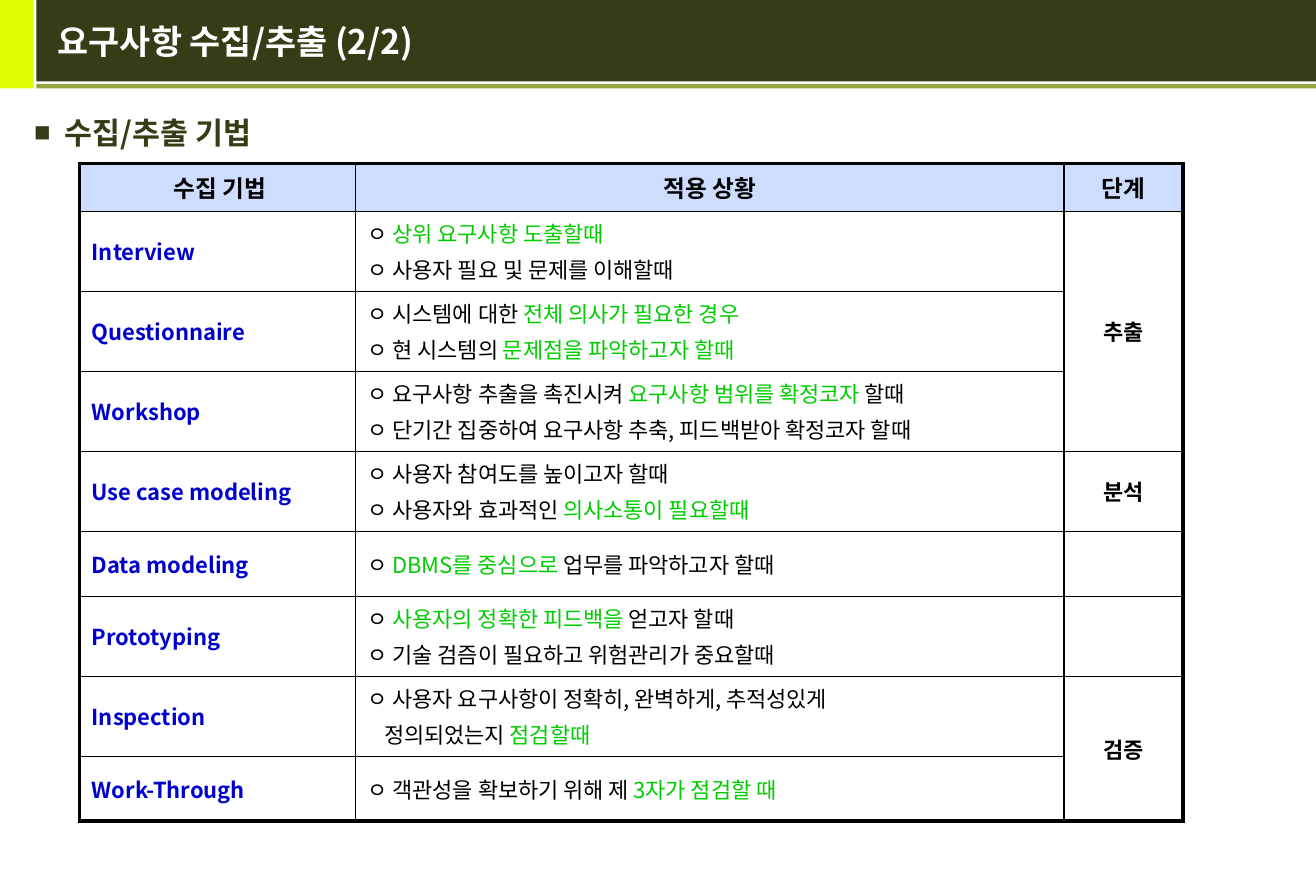
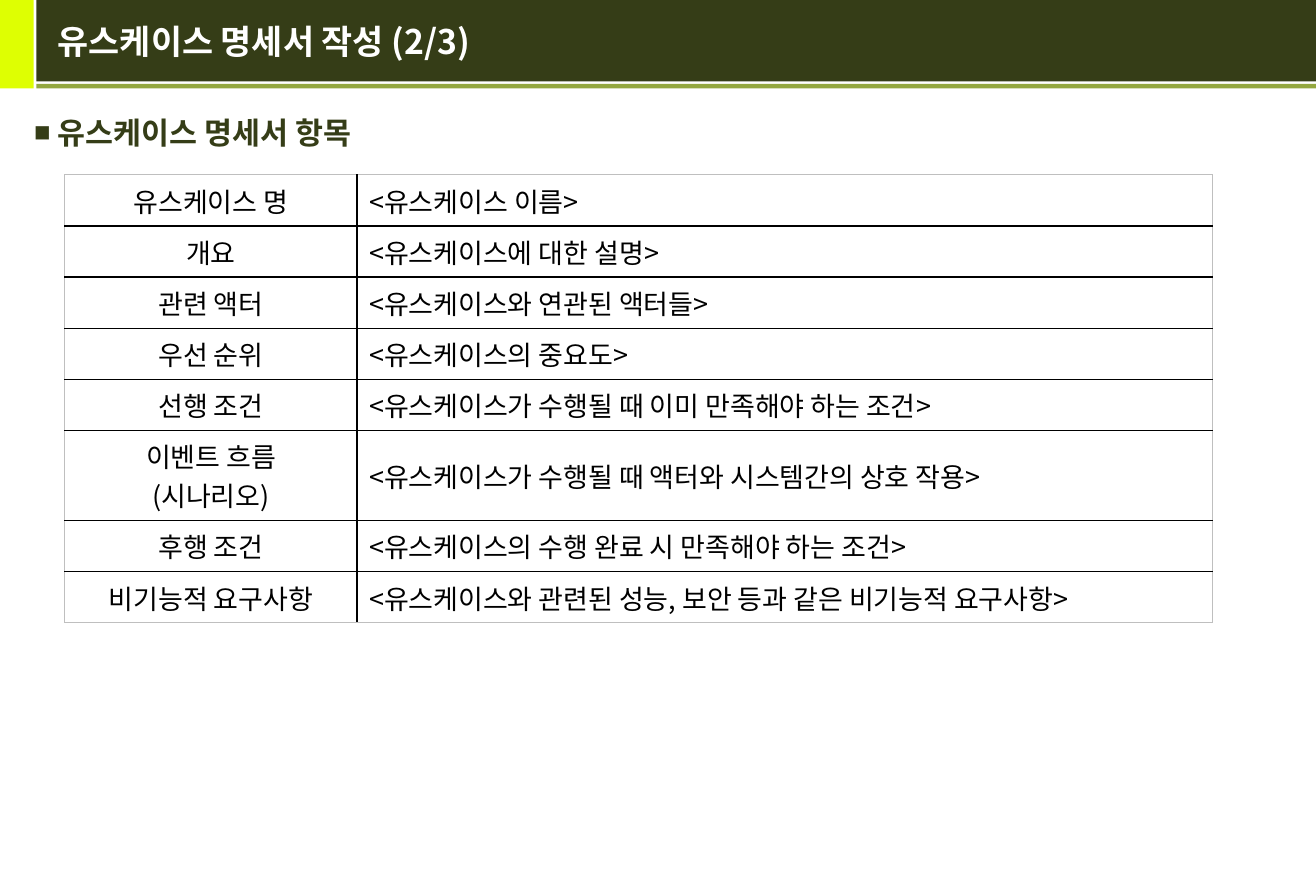
from lxml import etree
from pptx import Presentation
from pptx.dml.color import RGBColor
from pptx.enum import shapes, text
from pptx.oxml import ns
from pptx.util import Pt

FONT = "Noto Sans CJK KR"
HUES = {
    "lime": "DEFF02", "dark": "353D17", "olive": "93A73F", "white": "FFFFFF",
    "black": "000000", "blue": "0000CC", "green": "00CC00", "head": "CEDCFE",
    "gray": "BFBFBF",
}
LEFT, MID = text.PP_ALIGN.LEFT, text.PP_ALIGN.CENTER


def write(frame, words, size=16, hue="black", bold=False, align=LEFT):
    """Fill a text frame; | switches green on and off, a leading > indents a line."""
    for n, line in enumerate(words.split("\n")):
        para = frame.paragraphs[0] if n == 0 else frame.add_paragraph()
        para.alignment = align
        if n and size < 16:
            para.space_before = Pt(size * 0.2)
        if line.startswith(">"):
            line = line[1:]
            para._p.get_or_add_pPr().set("marL", str(Pt(9.8)))
        for k, part in enumerate(line.split("|")):
            if not part:
                continue
            run = para.add_run()
            run.text = part
            font = run.font
            font.name, font.size, font.bold = FONT, Pt(size), bold
            font.color.rgb = RGBColor.from_string(HUES["green" if k % 2 else hue])
            font._element.set("kern", "0")
            etree.SubElement(font._element, ns.qn("a:ea"), typeface=FONT)


def grid(slide, left, top, cols, rows, edge, spans=()):
    """Add a bare table with thin inner lines, an outer edge and merged spans."""
    frame = slide.shapes.add_table(len(rows), len(cols), Pt(left), Pt(top),
                                   Pt(sum(cols)), Pt(sum(rows)))
    table = frame.table
    table.first_row = table.horz_banding = False
    for col, width in zip(table.columns, cols):
        col.width = Pt(width)
    for row, height in zip(table.rows, rows):
        row.height = Pt(height)
    ends = {}
    for c, first, last in spans:
        table.cell(first, c).merge(table.cell(last, c))
        ends[first, c] = last
    for r in range(len(rows)):
        for c in range(len(cols)):
            cell = table.cell(r, c)
            cell.vertical_anchor = text.MSO_ANCHOR.MIDDLE
            cell.fill.background()
            props = cell._tc.get_or_add_tcPr()
            end = ends.get((r, c), r)
            outer = (c == 0, c == len(cols) - 1, r == 0, end == len(rows) - 1)
            for n, (side, out) in enumerate(zip("LRTB", outer)):
                hue, width = edge if out else ("black", 1)
                line = etree.Element(ns.qn("a:ln" + side), w=str(Pt(width)))
                fill = etree.SubElement(line, ns.qn("a:solidFill"))
                etree.SubElement(fill, ns.qn("a:srgbClr"), val=HUES[hue])
                props.insert(n, line)
    return table


prs = Presentation()
prs.slide_width, prs.slide_height = Pt(779.76), Pt(524.16)
prs.element.sldSz.attrib.pop("type", None)

# Shared layout: places of the title and the body
layout = prs.slide_layouts[1]
places = [(27, 0, 743, 49), (13, 64, 754, 30)]
for holder, place in zip(layout.placeholders, places):
    holder.left, holder.top, holder.width, holder.height = map(Pt, place)

# Titles and headings
heads = [
    ("요구사항 수집/추출 (2/2)", " 수집/추출 기법"),
    ("유스케이스 명세서 작성 (2/3)", "유스케이스 명세서 항목"),
]
slides = []
for title, topic in heads:
    slide = prs.slides.add_slide(layout)
    slides.append(slide)
    write(slide.shapes.title.text_frame, title, size=20, hue="white", bold=True)
    body = slide.placeholders[1].text_frame
    write(body, topic, size=18, hue="dark", bold=True)
    props = body.paragraphs[0]._p.get_or_add_pPr()
    props.set("marL", str(Pt(14)))
    props.set("indent", str(Pt(-14)))
    tint = etree.SubElement(props, ns.qn("a:buClr"))
    etree.SubElement(tint, ns.qn("a:srgbClr"), val=HUES["dark"])
    etree.SubElement(props, ns.qn("a:buSzPct"), val="90000")
    etree.SubElement(props, ns.qn("a:buFont"), typeface="Arial")
    etree.SubElement(props, ns.qn("a:buChar"), char="■")

# Header bands, moved to the master so that every slide shows them
bands = [
    ("lime", 0, 0, 20, 52.4),
    ("dark", 21.6, 0, 758.4, 48.2),
    ("olive", 21.6, 49.7, 758.4, 2.7),
]
tree = prs.slide_master.shapes.element
for n, (hue, *place) in enumerate(bands):
    band = slides[0].shapes.add_shape(shapes.MSO_SHAPE.RECTANGLE, *map(Pt, place))
    band.shadow.inherit = False
    band.fill.solid()
    band.fill.fore_color.rgb = RGBColor.from_string(HUES[hue])
    band.line.fill.background()
    band.element.nvSpPr.cNvPr.set("id", str(100 + n))
    tree.insert(2 + n, band.element)

# Slide 1: elicitation techniques
ways = [
    ("Interview", "ㅇ |상위 요구사항 도출할때|\nㅇ 사용자 필요 및 문제를 이해할때"),
    ("Questionnaire",
     "ㅇ 시스템에 대한 |전체 의사가 필요한 경우|\nㅇ 현 시스템의 |문제점을 파악하고자 할때|"),
    ("Workshop",
     "ㅇ 요구사항 추출을 촉진시켜 |요구사항 범위를 확정코자 |할때\n"
     "ㅇ 단기간 집중하여 요구사항 추축, 피드백받아 확정코자 할때"),
    ("Use case modeling",
     "ㅇ 사용자 참여도를 높이고자 할때\nㅇ 사용자와 효과적인 |의사소통이 필요할때|"),
    ("Data modeling", "ㅇ |DBMS를 중심으로| 업무를 파악하고자 할때"),
    ("Prototyping",
     "ㅇ |사용자의 정확한 피드백을| 얻고자 할때\nㅇ 기술 검즘이 필요하고 위험관리가 중요할때"),
    ("Inspection",
     "ㅇ 사용자 요구사항이 정확히, 완벽하게, 추적성있게\n>정의되었는지 |점검할때|"),
    ("Work-Through", "ㅇ 객관성을 확보하기 위해 제 |3자가 점검할 때|"),
]
steps = [("추출", 1, 3), ("분석", 4, 4), ("검증", 7, 8)]
spans = [(2, first, last) for _, first, last in steps if last > first]
rows = [28.4] + [47.4 if "\n" in use else 38.4 for _, use in ways]
table = grid(slides[0], 47.2, 96.8, [163.4, 419.8, 70.6], rows, ("black", 2.25), spans)
for c, label in enumerate([" 수집 기법", "적용 상황", "단계"]):
    cell = table.cell(0, c)
    cell.fill.solid()
    cell.fill.fore_color.rgb = RGBColor.from_string(HUES["head"])
    write(cell.text_frame, label, size=14, bold=True, align=MID)
for r, (way, use) in enumerate(ways, 1):
    write(table.cell(r, 0).text_frame, way, size=13, hue="blue", bold=True)
    write(table.cell(r, 1).text_frame, use, size=13)
for step, first, _ in steps:
    write(table.cell(first, 2).text_frame, step, size=13, bold=True, align=MID)

# Slide 2: items of a use case specification
items = [
    ("유스케이스 명", "<유스케이스 이름>"),
    ("개요", "<유스케이스에 대한 설명>"),
    ("관련 액터", "<유스케이스와 연관된 액터들>"),
    ("우선 순위", "<유스케이스의 중요도>"),
    ("선행 조건", "<유스케이스가 수행될 때 이미 만족해야 하는 조건>"),
    ("이벤트 흐름\n(시나리오)", "<유스케이스가 수행될 때 액터와 시스템간의 상호 작용>"),
    ("후행 조건", "<유스케이스의 수행 완료 시 만족해야 하는 조건>"),
    ("비기능적 요구사항", "<유스케이스와 관련된 성능, 보안 등과 같은 비기능적 요구사항>"),
]
rows = [53.4 if "\n" in item else 30.3 for item, _ in items]
table = grid(slides[1], 38.4, 103.6, [173.2, 507], rows, ("gray", 0.75))
for r, (item, note) in enumerate(items):
    write(table.cell(r, 0).text_frame, item, align=MID)
    write(table.cell(r, 1).text_frame, note)

prs.save("out.pptx")
